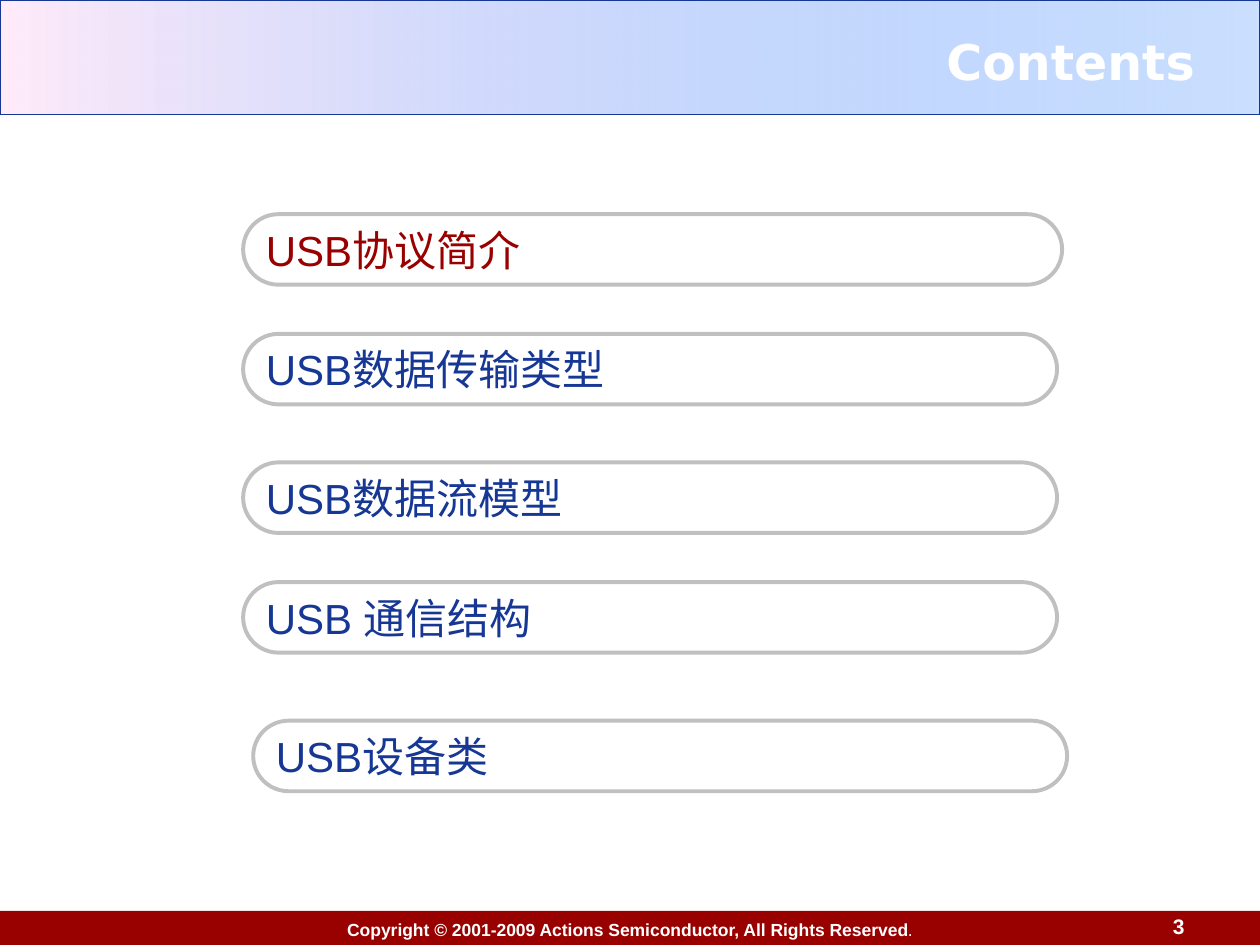
import pptx
import pptx.dml.color
import pptx.enum.shapes
import pptx.enum.text
import pptx.oxml
import pptx.oxml.ns
import pptx.util
from pptx.util import Inches

RGBColor = pptx.dml.color.RGBColor
Align = pptx.enum.text.PP_ALIGN
Anchor = pptx.enum.text.MSO_ANCHOR
Preset = pptx.enum.shapes.MSO_SHAPE

NAVY = RGBColor(0x16, 0x37, 0x94)
RED = RGBColor(0x99, 0x00, 0x00)
GREY = RGBColor(0xC0, 0xC0, 0xC0)
WHITE = RGBColor(0xFF, 0xFF, 0xFF)
SKY = RGBColor(0x5E, 0x9E, 0xFF)
PINK = RGBColor(0xFF, 0xEB, 0xFA)

PILL_HEIGHT = 0.56
# text, left, top, width, colour
TOPICS = [
    ("USB协议简介", 1.93, 1.70, 6.50, RED),
    ("USB数据传输类型", 1.93, 2.65, 6.46, NAVY),
    ("USB数据流模型", 1.93, 3.67, 6.46, NAVY),
    ("USB 通信结构", 1.93, 4.62, 6.46, NAVY),
    ("USB设备类", 2.01, 5.72, 6.46, NAVY),
]


class SlideBuilder:
    font_name = "Arial"

    def __init__(self, slide):
        self.slide = slide

    def set_text(self, box, spans, size, color, align=Align.LEFT,
                 anchor=Anchor.MIDDLE, wrap=False, font_name=None):
        """Fill the first paragraph of a box with (text, bold) spans."""
        frame = box.text_frame
        frame.word_wrap = wrap
        frame.vertical_anchor = anchor
        para = frame.paragraphs[0]
        para.alignment = align
        for text, bold in spans:
            span = para.add_run()
            span.text = text
            formats = {"name": font_name or self.font_name,
                       "size": pptx.util.Pt(size), "bold": bold}
            for key, value in formats.items():
                setattr(span.font, key, value)
            span.font.color.rgb = color

    def shape(self, preset, place, line=None, weight=0.75):
        box = self.slide.shapes.add_shape(preset, *map(Inches, place))
        box.shadow.inherit = False
        if line is None:
            box.line.fill.background()
        else:
            box.line.color.rgb = line
            box.line.width = pptx.util.Pt(weight)
        return box

    def text(self, place, text, size, **style):
        box = self.slide.shapes.add_textbox(*map(Inches, place))
        self.set_text(box, [(text, True)], size, WHITE, align=Align.RIGHT, wrap=True, **style)

    def banner(self, place):
        """Gradient band from pink on the left to translucent blue on the right."""
        band = self.shape(Preset.RECTANGLE, place, NAVY)
        band.fill.gradient()
        band.fill.gradient_angle = 180
        for stop, position, color in zip(band.fill.gradient_stops, (0, 1), (SKY, PINK)):
            stop.position = position
            stop.color.rgb = color
        first_color = next(band.element.iter(pptx.oxml.ns.qn("a:srgbClr")))
        alpha = pptx.oxml.parse_xml(f'<a:alpha {pptx.oxml.ns.nsdecls("a")} val="32000"/>')
        first_color.append(alpha)

    def footer(self, place, spans):
        bar = self.shape(Preset.RECTANGLE, place)
        bar.fill.solid()
        bar.fill.fore_color.rgb = RED
        self.set_text(bar, spans, 10, WHITE, align=Align.CENTER)

    def pill(self, text, left, top, width, color):
        outline = self.shape(Preset.ROUNDED_RECTANGLE,
                             (left, top, width, PILL_HEIGHT), GREY, 2.25)
        outline.adjustments[0] = 0.5
        outline.fill.background()
        self.set_text(outline, [(text, False)], 24, color)


def main():
    deck = pptx.Presentation()
    deck.slide_width, deck.slide_height = Inches(10), Inches(7.5)
    page = SlideBuilder(deck.slides.add_slide(deck.slide_layouts[6]))

    page.banner((0, 0, 10, 0.91))
    page.footer((0, 7.23, 10, 0.29), [
        ("Copyright © 2001-2009 Actions Semiconductor, All Rights Reserved", True),
        (".", False),
    ])
    page.text((8.94, 7.22, 0.56, 0.28), "3", 12, anchor=Anchor.BOTTOM)
    page.text((0.33, 0.17, 9.25, 0.62), "Contents", 28, font_name="DejaVu Sans")
    for topic in TOPICS:
        page.pill(*topic)

    deck.save("out.pptx")


if __name__ == "__main__":
    main()
